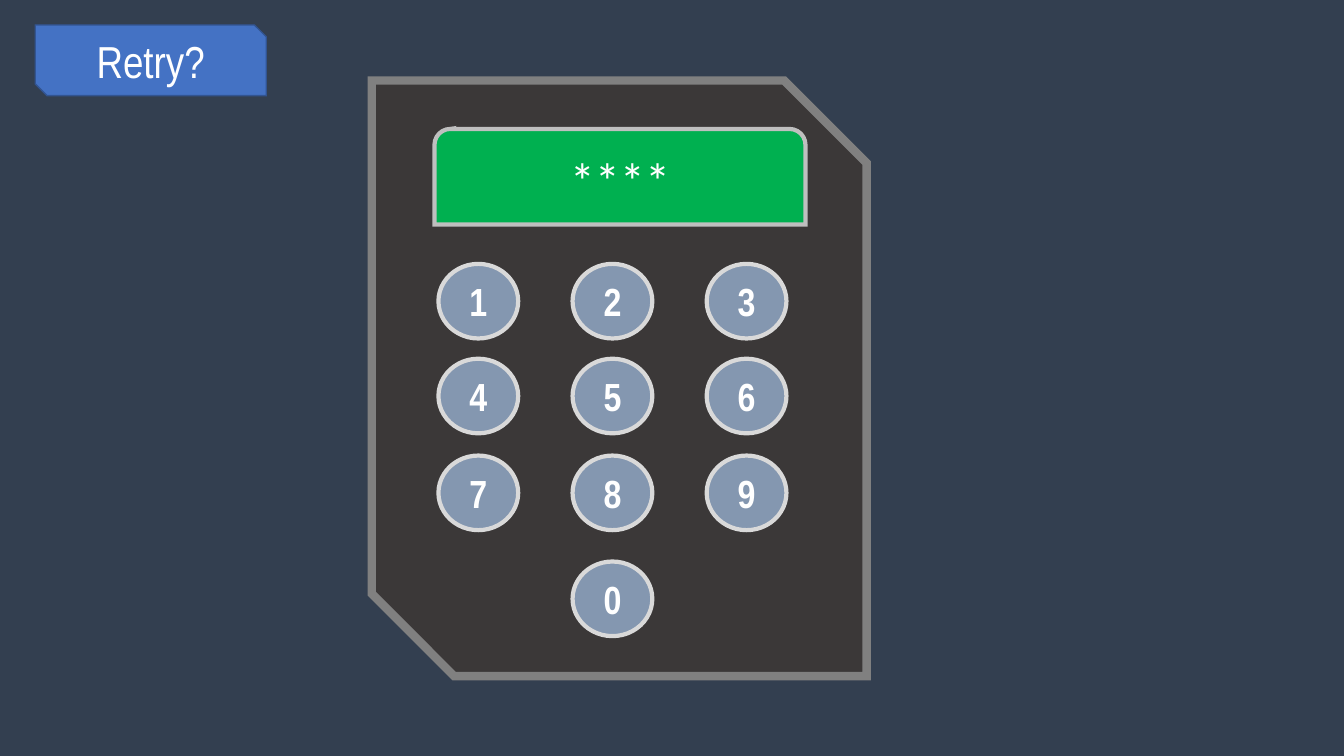
from lxml.etree import SubElement
from pptx import Presentation
from pptx.dml.color import RGBColor
from pptx.enum.shapes import MSO_SHAPE
from pptx.enum.text import MSO_ANCHOR, PP_ALIGN
from pptx.oxml.ns import qn
from pptx.util import Cm, Pt


def rgb(value):
    return RGBColor.from_string(value)


def write(sp, text, font="Arial Narrow", size=28, color="FFFFFF", bold=False):
    tf = sp.text_frame
    tf.word_wrap = True
    tf.vertical_anchor = MSO_ANCHOR.MIDDLE
    p = tf.paragraphs[0]
    p.alignment = PP_ALIGN.CENTER
    r = p.add_run()
    r.text = text
    r.font.name = font
    r.font.size = Pt(size)
    r.font.bold = bold
    r.font.color.rgb = rgb(color)


class Keypad:
    key_size = (2.01, 1.88)
    key_fill = "8497B0"
    key_line = "D9D9D9"

    def __init__(self, prs, background):
        self.s = prs.slides.add_slide(prs.slide_layouts[6])
        fill = self.s.background.fill
        fill.solid()
        fill.fore_color.rgb = rgb(background)

    def shape(self, kind, box, fill, line, width):
        sp = self.s.shapes.add_shape(kind, *(Cm(v) for v in box))
        sp.shadow.inherit = False
        sp.fill.solid()
        sp.fill.fore_color.rgb = rgb(fill)
        sp.line.color.rgb = rgb(line)
        sp.line.width = Pt(width)
        SubElement(sp.line._get_or_add_ln(), qn("a:miter"), lim="800000")
        return sp

    def panel(self, box):
        self.shape(MSO_SHAPE.SNIP_2_DIAG_RECTANGLE, box, "3B3838", "808080", 6)

    def display(self, box, text):
        sp = self.shape(MSO_SHAPE.ROUND_2_SAME_RECTANGLE, box, "00B050", "BFBFBF", 3)
        write(sp, text, font="Calibri", size=36)

    def key(self, left, top, digit):
        box = (left, top, *self.key_size)
        sp = self.shape(MSO_SHAPE.OVAL, box, self.key_fill, self.key_line, 3)
        write(sp, digit, bold=True)

    def button(self, box, text):
        sp = self.shape(MSO_SHAPE.SNIP_2_DIAG_RECTANGLE, box, "4472C4", "325491", 1)
        write(sp, text, size=32)


prs = Presentation()
prs.slide_width, prs.slide_height = Cm(33.87), Cm(19.05)

keypad = Keypad(prs, "333F50")
keypad.panel((9.37, 2.03, 12.47, 15.01))
keypad.display((10.95, 3.25, 9.35, 2.41), "****")

key_left, key_step = 11.05, 3.38
rows = [(6.65, "123"), (9.04, "456"), (11.48, "789"), (14.15, " 0 ")]
for top, digits in rows:
    for col, digit in enumerate(digits):
        if digit.isdigit():
            keypad.key(key_left + col * key_step, top, digit)

keypad.button((0.89, 0.63, 5.82, 1.78), "Retry?")

prs.save("out.pptx")
